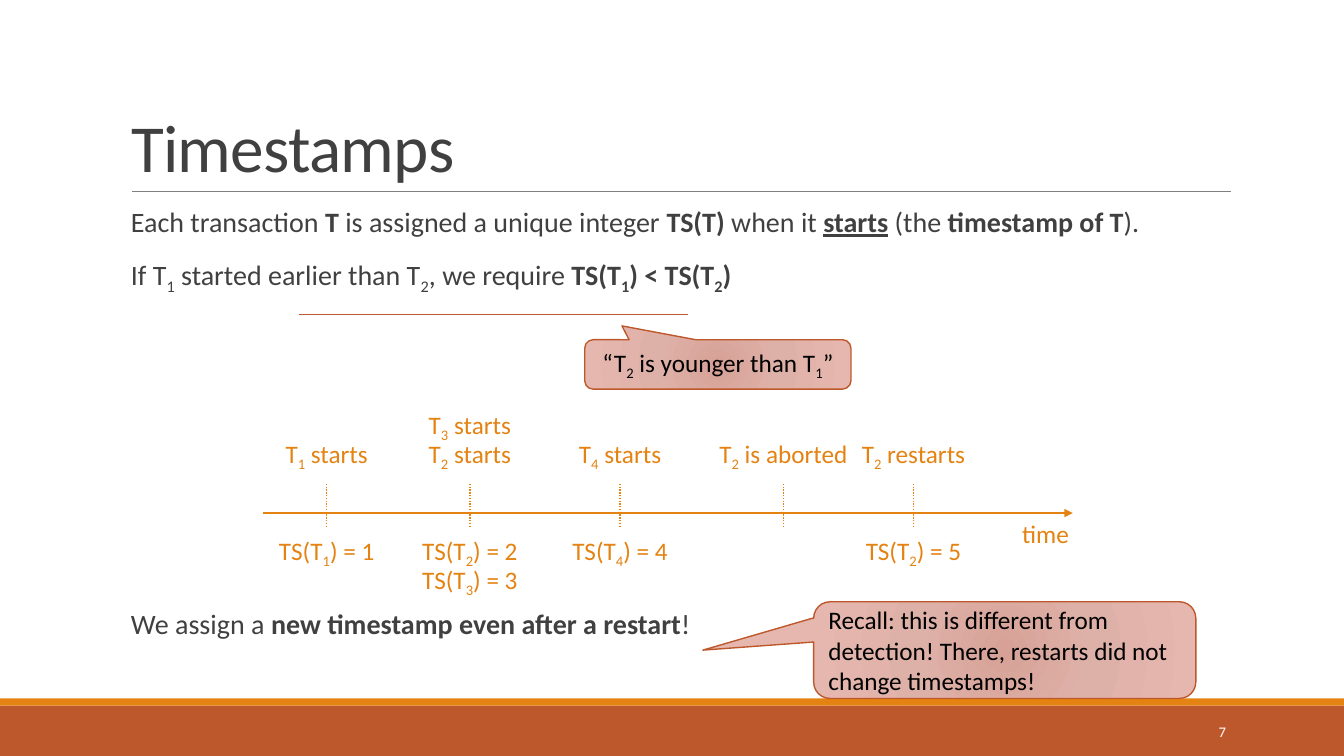
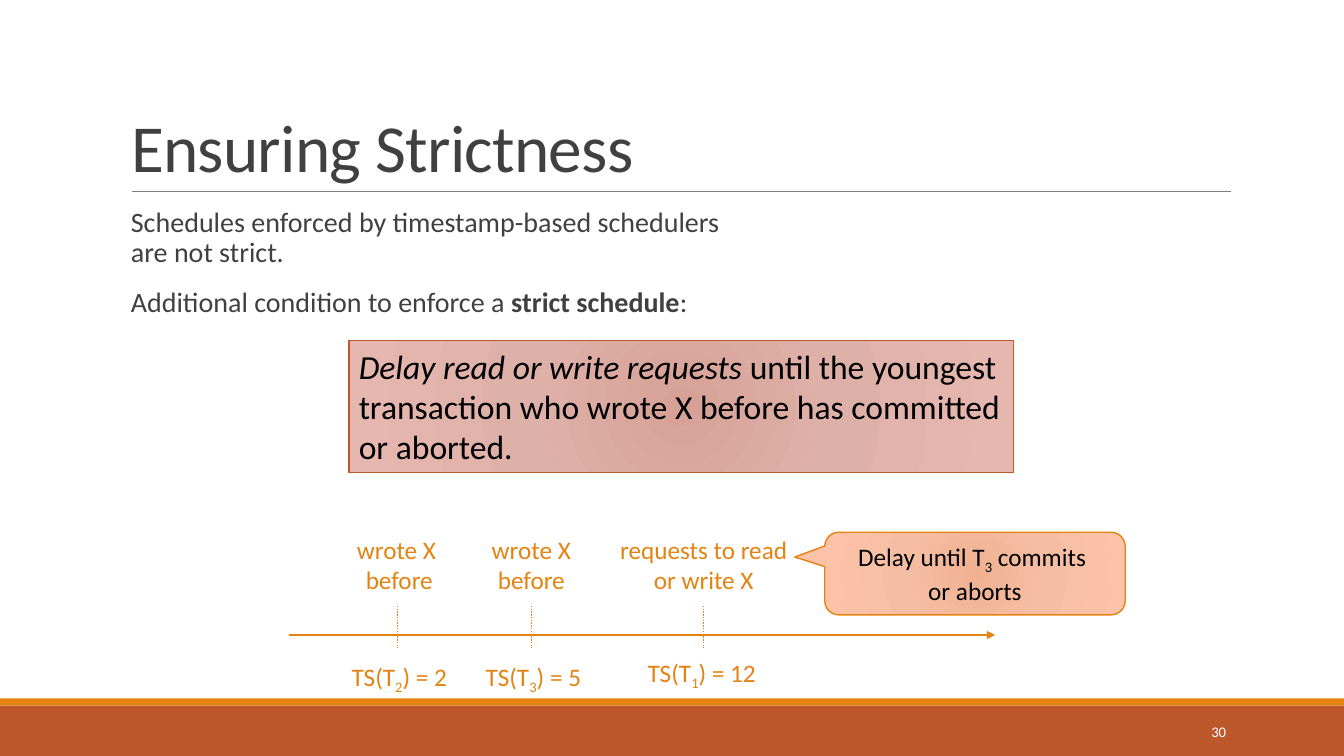
from dataclasses import dataclass

from pptx import Presentation
from pptx.dml.color import RGBColor
from pptx.enum.dml import MSO_LINE
from pptx.enum.shapes import MSO_CONNECTOR, MSO_SHAPE
from pptx.enum.text import MSO_ANCHOR, MSO_AUTO_SIZE, PP_ALIGN
from pptx.oxml import parse_xml
from pptx.oxml.ns import nsdecls, qn
from pptx.util import Inches, Pt


@dataclass(frozen=True)
class Theme:
    font: str = "Calibri"
    rust: str = "BD582C"
    orange: str = "E48312"
    rule: str = "808080"
    ink: str = "404040"
    black: str = "000000"
    white: str = "FFFFFF"
    rust_glow: tuple = ("D7A197", "DEB1A8", "E6B7AE")
    orange_glow: tuple = ("F0B191", "F5BEA4", "FDC3A8")
    glow_stops: tuple = (0, 45, 100)
    title_size: float = 48
    quote_size: float = 24
    body_size: float = 20
    label_size: float = 18
    number_size: float = 10.5


THEME = Theme()
MARKS = {"*": "bold", "/": "italic", "_": "underline", "~": "subscript"}
ROW_STEP = 0.29


class SlideBuilder:
    def __init__(self, deck, theme):
        self.deck = deck
        self.theme = theme
        self.page = None

    def start(self, title, number):
        """Add a page with its bands, title, rule and page number."""
        theme = self.theme
        self.page = self.deck.slides.add_slide(self.deck.slide_layouts[5])
        self.band(7, 0.5, theme.rust)
        self.band(6.93, 0.07, theme.orange)
        self.line(1.31, 1.9, 12.21, 1.9, theme.rule, 0.5)

        box = self.page.shapes.title
        box.left, box.top, box.width, box.height = map(Inches, (1.2, 0.31, 11, 1.59))
        self.frame(box, vertical_anchor=MSO_ANCHOR.BOTTOM)
        self.paragraphs(box, [title], theme.title_size, theme.ink, line_spacing=0.85)
        for span in box.text_frame.paragraphs[0].runs:
            span._r.get_or_add_rPr().set("spc", "-50")

        self.text([number], 10.83, 7.06, 1.43, 0.4, theme.number_size, theme.white,
                  PP_ALIGN.RIGHT, vertical_anchor=MSO_ANCHOR.MIDDLE)

    def frame(self, box, **formats):
        defaults = {"word_wrap": True, "auto_size": MSO_AUTO_SIZE.NONE,
                    "vertical_anchor": MSO_ANCHOR.TOP}
        for name, value in {**defaults, **formats}.items():
            setattr(box.text_frame, name, value)

    def paragraphs(self, box, texts, size, color, alignment=PP_ALIGN.LEFT,
                   space_before=0, **formats):
        """Fill a box with marked-up paragraphs; see MARKS."""
        for index, text in enumerate(texts):
            frame = box.text_frame
            para = frame.add_paragraph() if index else frame.paragraphs[0]
            settings = {"alignment": alignment,
                        "space_before": Pt(space_before if index else 0), **formats}
            for name, value in settings.items():
                setattr(para, name, value)
            self.spans(para, text, size, color)

    def spans(self, para, text, size, color):
        active, pending = set(), ""
        for mark in [*text, ""]:
            if mark and mark != "\n" and mark not in MARKS:
                pending += mark
                continue
            if pending:
                self.span(para, pending, size, color, active)
                pending = ""
            if mark == "\n":
                para.add_line_break()
            elif mark in MARKS:
                active ^= {MARKS[mark]}

    def span(self, para, text, size, color, active):
        span = para.add_run()
        span.text = text
        formats = {"name": self.theme.font, "size": Pt(size)}
        formats.update({name: True for name in active - {"subscript"}})
        for name, value in formats.items():
            setattr(span.font, name, value)
        span.font.color.rgb = RGBColor.from_string(color)
        if "subscript" in active:
            span._r.get_or_add_rPr().set("baseline", "-25000")

    def text(self, texts, left, top, width, height, size, color,
             alignment=PP_ALIGN.LEFT, **formats):
        box = self.page.shapes.add_textbox(*map(Inches, (left, top, width, height)))
        self.frame(box, **formats)
        self.paragraphs(box, texts, size, color, alignment)

    def body(self, texts, top, height):
        box = self.page.shapes.add_textbox(*map(Inches, (1.2, top, 11, height)))
        self.frame(box)
        self.paragraphs(box, texts, self.theme.body_size, self.theme.ink,
                        space_before=12, space_after=Pt(2), line_spacing=0.9)

    def label(self, text, center, top, width, height=0.4):
        self.text([text], center - width / 2, top, width, height,
                  self.theme.label_size, self.theme.orange, PP_ALIGN.CENTER,
                  word_wrap=False, auto_size=MSO_AUTO_SIZE.SHAPE_TO_FIT_TEXT)

    def band(self, top, height, color):
        band = self.page.shapes.add_shape(
            MSO_SHAPE.RECTANGLE, 0, Inches(top), self.deck.slide_width, Inches(height))
        band.shadow.inherit = False
        band.fill.solid()
        band.fill.fore_color.rgb = RGBColor.from_string(color)
        band.line.fill.background()

    def line(self, left, top, right, bottom, color, width, dash=None, arrow=False):
        line = self.page.shapes.add_connector(
            MSO_CONNECTOR.STRAIGHT, *map(Inches, (left, top, right, bottom)))
        line.line.color.rgb = RGBColor.from_string(color)
        line.line.width = Pt(width)
        if dash:
            line.line.dash_style = dash
        properties = line._element.spPr
        if arrow:
            properties.find(qn("a:ln")).append(
                parse_xml(f'<a:tailEnd {nsdecls("a")} type="triangle"/>'))
        properties.append(parse_xml(f'<a:effectLst {nsdecls("a")}/>'))

    def timeline(self, left, right, top, ticks):
        orange = self.theme.orange
        self.line(left, top, right, top, orange, 1.25, arrow=True)
        for tick in ticks:
            self.line(tick, top - 0.29, tick, top + 0.13, orange, 1, MSO_LINE.ROUND_DOT)

    def glow_box(self, text, left, top, width, height, glow, outline, size,
                 pointer=None, alignment=PP_ALIGN.LEFT):
        """Draw a radially shaded box, as a callout when it has a pointer."""
        kind = MSO_SHAPE.ROUNDED_RECTANGULAR_CALLOUT if pointer else MSO_SHAPE.RECTANGLE
        box = self.page.shapes.add_shape(kind, *map(Inches, (left, top, width, height)))
        box.shadow.inherit = False
        for index, value in enumerate(pointer or ()):
            box.adjustments[index] = value
        box.fill.solid()
        self.shade(box, glow)
        box.line.color.rgb = RGBColor.from_string(outline)
        box.line.width = Pt(1)
        self.frame(box, vertical_anchor=MSO_ANCHOR.MIDDLE if pointer else MSO_ANCHOR.TOP)
        self.paragraphs(box, [text], size, self.theme.black, alignment)

    def shade(self, box, glow):
        stops = "".join(
            f'<a:gs pos="{stop * 1000}"><a:srgbClr val="{color}"/></a:gs>'
            for stop, color in zip(self.theme.glow_stops, glow))
        sides = " ".join(f'{side}="100000"' for side in "ltrb")
        gradient = parse_xml(
            f'<a:gradFill {nsdecls("a")}><a:gsLst>{stops}</a:gsLst>'
            f'<a:path path="circle"><a:fillToRect {sides}/></a:path></a:gradFill>')
        properties = box._element.spPr
        properties.replace(properties.find(qn("a:solidFill")), gradient)


def build_timestamps(slide):
    theme = slide.theme
    slide.start("Timestamps", "7")
    slide.body(["Each transaction *T* is assigned a unique integer *TS(T)* when it "
                "*_starts_* (the *timestamp of T*).",
                "If T~1~ started earlier than T~2~, we require *TS(T~1~) < TS(T~2~)*"],
               2.02, 1)
    slide.body(["We assign a *new timestamp even after a restart*!"], 6.01, 0.41)

    events = [
        (3.24, 1.04, ["T~1~ starts"], ["TS(T~1~) = 1"]),
        (4.66, 1.04, ["T~2~ starts", "T~3~ starts"], ["TS(T~2~) = 2", "TS(T~3~) = 3"]),
        (6.15, 1.04, ["T~4~ starts"], ["TS(T~4~) = 4"]),
        (7.77, 1.5, ["T~2~ is aborted"], []),
        (9.06, 1.25, ["T~2~ restarts"], ["TS(T~2~) = 5"]),
    ]
    slide.timeline(2.61, 10.64, 5.09, [event[0] for event in events])
    slide.label("time", 10.37, 5.09, 0.67)
    for tick, width, actions, stamps in events:
        for row, action in enumerate(actions):
            slide.label(action, tick, 4.3 - row * ROW_STEP, width)
        for row, stamp in enumerate(stamps):
            slide.label(stamp, tick, 5.26 + row * ROW_STEP, 1.17)

    slide.line(2.97, 3.12, 6.82, 3.12, theme.rust, 1.25)
    slide.glow_box("“T~2~ is younger than T~1~”", 5.8, 3.37, 2.64, 0.49,
                   theme.rust_glow, theme.rust, theme.label_size,
                   (-0.36, -0.78, 0.17), PP_ALIGN.CENTER)
    slide.glow_box("Recall: this is different from detection! There, restarts did not "
                   "change timestamps!", 8.07, 5.97, 3.79, 0.96,
                   theme.rust_glow, theme.rust, theme.label_size, (-0.79, 0, 0.17))


def build_strictness(slide):
    theme = slide.theme
    slide.start("Ensuring Strictness", "30")
    slide.body(["Schedules enforced by timestamp-based schedulers\nare not strict.",
                "Additional condition to enforce a *strict schedule*:"], 2.02, 1.3)
    slide.glow_box("/Delay read or write requests /until the youngest transaction who "
                   "wrote X before has committed or aborted.", 3.46, 3.38, 6.59, 1.31,
                   theme.rust_glow, theme.rust, theme.quote_size)

    events = [
        (3.94, "wrote X \nbefore", 3.96, 1.05, "TS(T~2~) = 2", 3.96, 6.51, 1.17),
        (5.27, "wrote X\nbefore", 5.27, 1, "TS(T~3~) = 5", 5.29, 6.51, 1.17),
        (6.98, "requests to read\nor write X", 6.98, 1.93, "TS(T~1~) = 12", 6.96, 6.47, 1.3),
    ]
    slide.timeline(2.87, 9.87, 6.3, [event[0] for event in events])
    for _, action, center, width, stamp, stamp_center, stamp_top, stamp_width in events:
        slide.label(action, center, 5.25, width, 0.71)
        slide.label(stamp, stamp_center, stamp_top, stamp_width)
    slide.glow_box("Delay until T~3~ commits \nor aborts", 8.18, 5.28, 2.98, 0.82,
                   theme.orange_glow, theme.orange, theme.label_size,
                   (-0.6, -0.2, 0.17), PP_ALIGN.CENTER)


def main():
    deck = Presentation()
    deck.slide_width, deck.slide_height = Inches(13.33), Inches(7.5)
    slide = SlideBuilder(deck, THEME)
    build_timestamps(slide)
    build_strictness(slide)
    deck.save("out.pptx")


if __name__ == "__main__":
    main()
